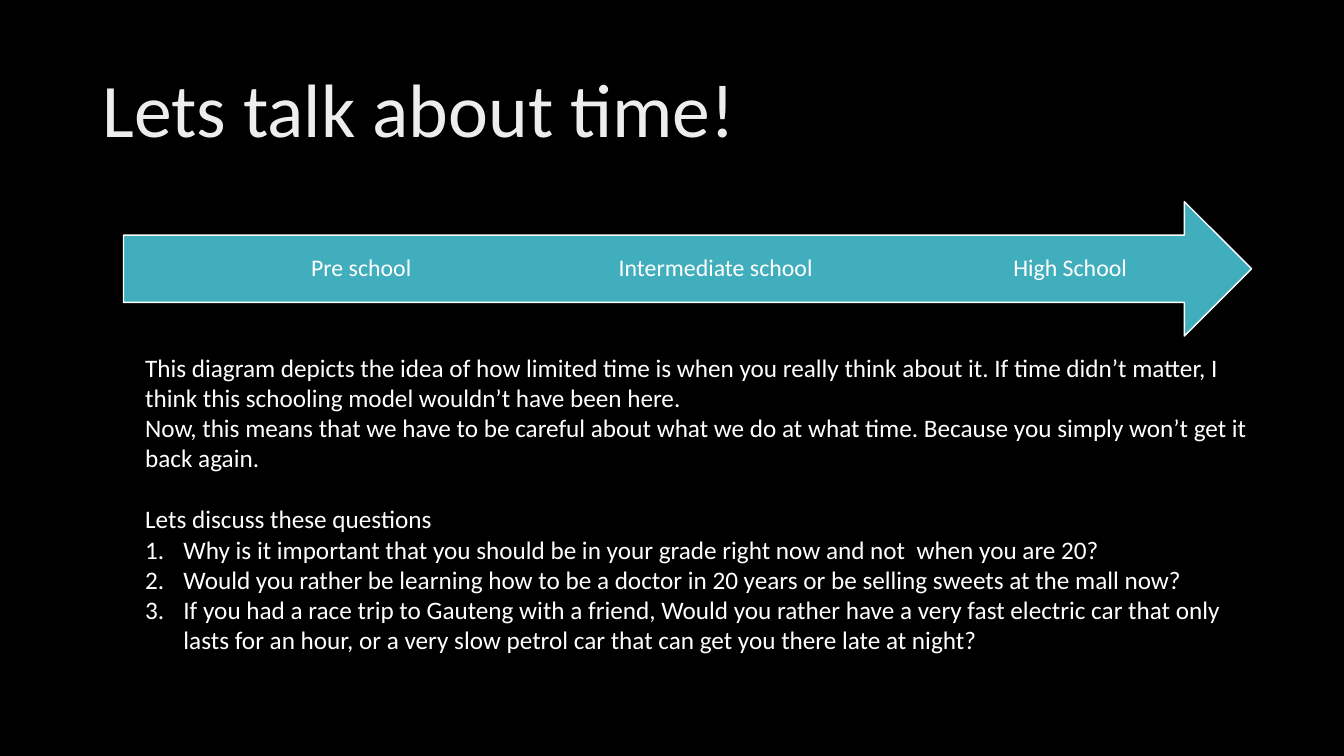
from dataclasses import dataclass

from lxml.etree import SubElement as Sub
from pptx import Presentation
from pptx.dml.color import RGBColor as Rgb
from pptx.enum.shapes import MSO_SHAPE as Shape
from pptx.enum.text import MSO_ANCHOR as Anchor, PP_ALIGN as Align
from pptx.oxml.ns import qn
from pptx.util import Inches, Pt


@dataclass(frozen=True)
class Theme:
    font: str = "Calibri"
    back: str = "000000"
    head: str = "EDEDED"
    ink: str = "FFFFFF"
    teal: str = "41AEBD"
    title: int = 54
    label: int = 17
    body: int = 18


COLS, ROWS = 160, 90  # grid of 1/12 inch cells
INDENT = Inches(0.38)


class Deck:
    def __init__(self, theme):
        self.theme = theme
        self.show = Presentation()
        self.show.slide_width = Inches(13.33)
        self.show.slide_height = Inches(7.5)
        self.slide = self.show.slides.add_slide(self.show.slide_layouts[6])
        fill = self.slide.background.fill
        fill.solid()
        fill.fore_color.rgb = Rgb.from_string(theme.back)

    def place(self, col, row, wide, high):
        x, y = self.show.slide_width / COLS, self.show.slide_height / ROWS
        return [round(n) for n in (col * x, row * y, wide * x, high * y)]

    def arrow(self, *cells):
        shape = self.slide.shapes.add_shape(Shape.RIGHT_ARROW, *self.place(*cells))
        shape.shadow.inherit = False
        shape.fill.solid()
        shape.fill.fore_color.rgb = Rgb.from_string(self.theme.teal)
        shape.line.color.rgb = Rgb.from_string(self.theme.ink)
        shape.line.width = Pt(1)

    def box(self, *cells, anchor=Anchor.TOP):
        frame = self.slide.shapes.add_textbox(*self.place(*cells)).text_frame
        frame.word_wrap = True
        frame.vertical_anchor = anchor
        return frame

    def add_text(self, para, text, size, color):
        run = para.add_run()
        run.text = text
        run.font.name = self.theme.font
        run.font.size = Pt(size)
        run.font.color.rgb = Rgb.from_string(color)

    def title(self, text, *cells):
        para = self.box(*cells, anchor=Anchor.MIDDLE).paragraphs[0]
        para.line_spacing = 0.9
        self.add_text(para, text, self.theme.title, self.theme.head)

    def label(self, text, *cells):
        frame = self.box(*cells, anchor=Anchor.MIDDLE)
        frame.margin_left = frame.margin_right = 0
        para = frame.paragraphs[0]
        para.alignment = Align.CENTER
        para.line_spacing = 0.9
        self.add_text(para, text, self.theme.label, self.theme.ink)

    def body(self, intro, lead, items, *cells):
        frame = self.box(*cells)
        for i, text in enumerate([*intro, lead, *items]):
            para = frame.paragraphs[0] if i == 0 else frame.add_paragraph()
            if i == len(intro):
                para.space_before = Pt(22)
            elif i > len(intro):
                self.number(para)
            self.add_text(para, text, self.theme.body, self.theme.ink)

    def number(self, para):
        props = para._p.get_or_add_pPr()
        props.set("marL", str(INDENT))
        props.set("indent", str(-INDENT))
        Sub(props, qn("a:buFont"), typeface="+mj-lt")
        Sub(props, qn("a:buAutoNum"), type="arabicPeriod")


def main():
    deck = Deck(Theme())

    # Heading
    deck.title("Lets talk about time!", 11, 4.8, 138, 17.4)

    # School timeline
    deck.arrow(14.7, 24, 134.3, 16)
    stages = ["Pre school", "Intermediate school", "High School"]
    for i, stage in enumerate(stages):
        deck.label(stage, 25.4 + i * 42.2, 28, 35.2, 8)

    # Discussion
    deck.body(
        [
            "This diagram depicts the idea of how limited time is when you really think about it. "
            "If time didn’t matter, I think this schooling model wouldn’t have been here.",
            "Now, this means that we have to be careful about what we do at what time. "
            "Because you simply won’t get it back again.",
        ],
        "Lets discuss these questions",
        [
            "Why is it important that you should be in your grade right now and not  when you are 20?",
            "Would you rather be learning how to be a doctor in 20 years "
            "or be selling sweets at the mall now?",
            "If you had a race trip to Gauteng with a friend, Would you rather have a very fast "
            "electric car that only lasts for an hour, or a very slow petrol car that can get you "
            "there late at night?",
        ],
        16.1, 41.3, 134.3, 41.2,
    )

    deck.show.save("out.pptx")


if __name__ == "__main__":
    main()
